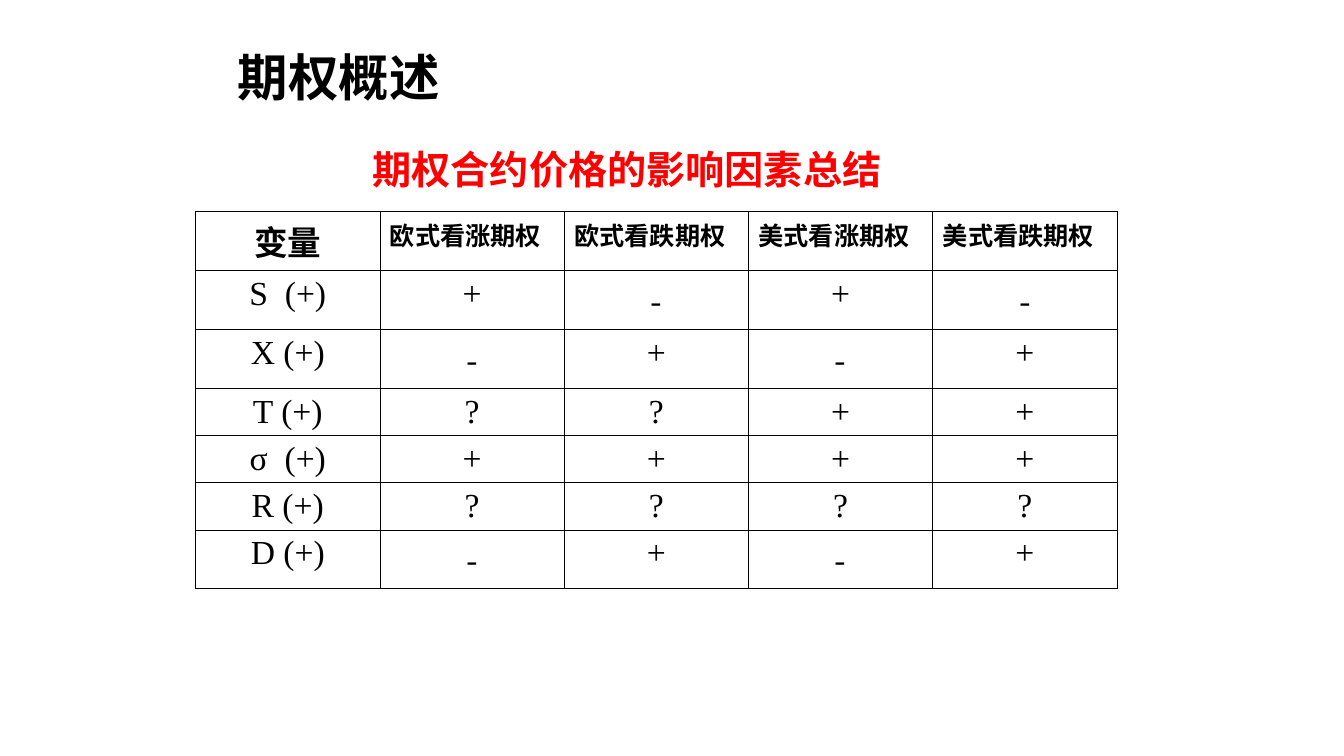
"""Build a slide summarising the factors that influence option prices."""
from lxml import etree
from pptx import Presentation
from pptx.dml.color import RGBColor
from pptx.enum.text import MSO_ANCHOR, PP_ALIGN
from pptx.oxml.ns import qn
from pptx.util import Cm, Pt

LEFT, CENTER = PP_ALIGN.LEFT, PP_ALIGN.CENTER
MIDDLE = MSO_ANCHOR.MIDDLE
TITLE_ONLY = 5
BLACK, RED, WHITE = "000000", "FF0000", "FFFFFF"
SERIF, SANS, SANS_JP, LABEL = "Times New Roman", "Noto Sans CJK SC", "Noto Sans CJK JP", "Roboto"

TITLE = "期权概述"
SUBTITLE = "期权合约价格的影响因素总结"
HEADERS = ["变量", "欧式看涨期权", "欧式看跌期权", "美式看涨期权", "美式看跌期权"]
EFFECTS = [
    ("S  (+)", "+", "-", "+", "-"),
    ("X (+)", "-", "+", "-", "+"),
    ("T (+)", "?", "?", "+", "+"),
    ("σ  (+)", "+", "+", "+", "+"),
    ("R (+)", "?", "?", "?", "?"),
    ("D (+)", "-", "+", "-", "+"),
]
TABLE_BOX = (Cm(4.93), Cm(5.33), Cm(23.22), Cm(8.89))
TITLE_BOX = (Cm(5.74), Cm(1.12), Cm(20.75), Cm(1.8))
SUBTITLE_BOX = (Cm(9.14), Cm(3.53), Cm(14.2), Cm(1.45))
ROW_HEIGHT = Cm(1.04)
BORDER_WIDTH = Pt(0.5)


def color(value):
    return RGBColor.from_string(value)


def write(frame, text, size, font, east_asian=SANS, fill=BLACK, bold=False, align=LEFT):
    paragraph = frame.paragraphs[0]
    paragraph.alignment = align
    run = paragraph.add_run()
    run.text = text
    run.font.size = Pt(size)
    run.font.name = font
    run.font.bold = bold
    run.font.color.rgb = color(fill)
    properties = run.font._element
    etree.SubElement(properties, qn("a:ea")).set("typeface", east_asian)
    return paragraph


def add_borders(cell):
    properties = cell._tc.get_or_add_tcPr()
    for position, side in enumerate(("a:lnL", "a:lnR", "a:lnT", "a:lnB")):
        line = etree.Element(qn(side), w=str(BORDER_WIDTH))
        solid = etree.SubElement(line, qn("a:solidFill"))
        etree.SubElement(solid, qn("a:srgbClr")).set("val", BLACK)
        properties.insert(position, line)


def add_effects_table(slide):
    rows = [HEADERS, *EFFECTS]
    graphic_frame = slide.shapes.add_table(len(rows), len(HEADERS), *TABLE_BOX)
    table = graphic_frame.table
    table.first_row = False
    table.horz_banding = False
    for row_index, values in enumerate(rows):
        table.rows[row_index].height = ROW_HEIGHT
        for column_index, text in enumerate(values):
            cell = table.cell(row_index, column_index)
            cell.fill.solid()
            cell.fill.fore_color.rgb = color(WHITE)
            add_borders(cell)
            is_header = row_index == 0
            if is_header and column_index > 0:
                write(cell.text_frame, text, 18, LABEL, bold=True)
            else:
                font = SANS if text == "-" else SERIF
                write(cell.text_frame, text, 24, font, bold=is_header, align=CENTER)
    graphic_frame.height = TABLE_BOX[3]


def add_title(slide):
    title = slide.shapes.title
    title.left, title.top, title.width, title.height = TITLE_BOX
    title.text_frame.vertical_anchor = MIDDLE
    paragraph = write(title.text_frame, TITLE, 36, SANS, bold=True)
    paragraph.line_spacing = 0.9


def add_subtitle(slide):
    frame = slide.shapes.add_textbox(*SUBTITLE_BOX).text_frame
    frame.word_wrap = True
    write(frame, SUBTITLE, 28, SANS_JP, SANS_JP, RED, bold=True)


def main():
    presentation = Presentation()
    presentation.slide_width, presentation.slide_height = Cm(33.87), Cm(19.05)
    slide = presentation.slides.add_slide(presentation.slide_layouts[TITLE_ONLY])
    add_effects_table(slide)
    add_title(slide)
    add_subtitle(slide)
    presentation.save("out.pptx")


if __name__ == "__main__":
    main()
